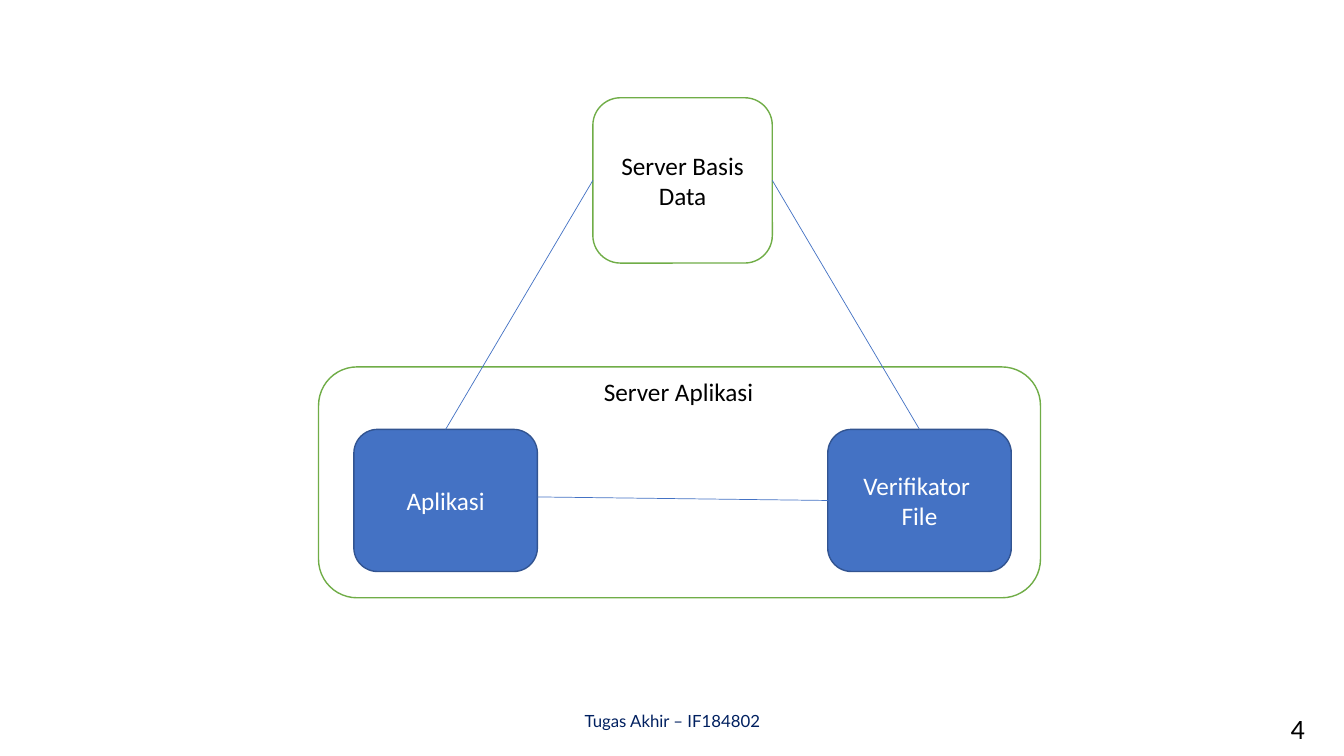
from dataclasses import dataclass

from lxml import etree
from pptx import Presentation
from pptx.dml.color import RGBColor
from pptx.enum.shapes import MSO_CONNECTOR, MSO_SHAPE
from pptx.enum.text import MSO_ANCHOR, PP_ALIGN
from pptx.oxml.ns import qn
from pptx.shapes.autoshape import Shape
from pptx.slide import Slide
from pptx.text.text import TextFrame
from pptx.util import Inches, Pt

ROUND = MSO_SHAPE.ROUNDED_RECTANGLE
STRAIGHT = MSO_CONNECTOR.STRAIGHT
MIDDLE, TOP = MSO_ANCHOR.MIDDLE, MSO_ANCHOR.TOP
LEFT, CENTER, RIGHT = PP_ALIGN.LEFT, PP_ALIGN.CENTER, PP_ALIGN.RIGHT
NORTH, WEST, EAST = 0, 1, 3

WHITE, BLACK, NAVY = "FFFFFF", "000000", "002060"
BLUE, EDGE, GREEN = "4472C4", "325491", "70AD47"


@dataclass
class Node:
    name: str
    box: tuple[float, float, float, float]
    fill: str
    line: str
    ink: str
    lines: tuple[str, ...] = ()


@dataclass
class Label:
    text: str
    box: tuple[float, float, float, float]
    size: int
    font: str = "Calibri"
    ink: str = BLACK
    align: PP_ALIGN = LEFT
    anchor: MSO_ANCHOR = MIDDLE
    wrap: bool = True


@dataclass
class Link:
    start: tuple[float, float]
    end: tuple[float, float]
    tail: tuple[str, int] | None
    head: tuple[str, int]


NODES = [
    Node("server", (3.16, 3.64, 7.16, 2.29), WHITE, GREEN, BLACK),
    Node("app", (3.51, 4.26, 1.82, 1.41), BLUE, EDGE, WHITE, ("Aplikasi",)),
    Node("check", (8.21, 4.26, 1.82, 1.41), BLUE, EDGE, WHITE,
         ("Verifikator ", "File")),
    Node("data", (5.88, 0.97, 1.78, 1.64), WHITE, GREEN, BLACK,
         ("Server Basis Data",)),
]

LABELS = [
    Label("4", (10.04, 7.03, 3, 0.4), 20, align=RIGHT),
    Label("Tugas Akhir – IF184802", (4.42, 6.95, 4.5, 0.4), 12, "Lato", NAVY,
          CENTER),
    Label("Server Aplikasi", (5.89, 3.68, 1.7, 0.4), 18, anchor=TOP,
          wrap=False),
]

LINKS = [
    Link((5.33, 4.93), (8.21, 4.96), None, ("check", WEST)),
    Link((9.12, 4.26), (7.66, 1.79), ("check", NORTH), ("data", EAST)),
    Link((4.42, 4.26), (5.88, 1.79), ("app", NORTH), ("data", WEST)),
]


def color(code: str) -> RGBColor:
    return RGBColor.from_string(code)


def write(frame: TextFrame, lines: tuple[str, ...], size: int, font: str,
          ink: str, align: PP_ALIGN) -> None:
    for i, text in enumerate(lines):
        para = frame.add_paragraph() if i else frame.paragraphs[0]
        para.alignment = align
        run = para.add_run()
        run.text = text
        run.font.size = Pt(size)
        run.font.name = font
        run.font.color.rgb = color(ink)


def add_node(slide: Slide, node: Node) -> Shape:
    shape = slide.shapes.add_shape(ROUND, *map(Inches, node.box))
    shape.shadow.inherit = False
    shape.fill.solid()
    shape.fill.fore_color.rgb = color(node.fill)
    shape.line.color.rgb = color(node.line)
    shape.line.width = Pt(1)
    shape.text_frame.word_wrap = True
    shape.text_frame.vertical_anchor = MIDDLE
    write(shape.text_frame, node.lines, 18, "Calibri", node.ink, CENTER)
    return shape


def add_label(slide: Slide, label: Label) -> None:
    frame = slide.shapes.add_textbox(*map(Inches, label.box)).text_frame
    frame.word_wrap = label.wrap
    frame.vertical_anchor = label.anchor
    write(frame, (label.text,), label.size, label.font, label.ink, label.align)


def add_link(slide: Slide, link: Link, shapes: dict[str, Shape]) -> None:
    wire = slide.shapes.add_connector(
        STRAIGHT, *map(Inches, link.start + link.end))
    if link.tail:
        name, side = link.tail
        wire.begin_connect(shapes[name], side)
    name, side = link.head
    wire.end_connect(shapes[name], side)
    wire.line.color.rgb = color(BLUE)
    wire.line.width = Pt(0.5)
    etree.SubElement(wire._element.spPr, qn("a:effectLst"))


def main() -> None:
    deck = Presentation()
    deck.slide_width, deck.slide_height = Inches(13.33), Inches(7.5)
    slide = deck.slides.add_slide(deck.slide_layouts[6])
    shapes = {node.name: add_node(slide, node) for node in NODES}
    for label in LABELS:
        add_label(slide, label)
    for link in LINKS:
        add_link(slide, link, shapes)
    deck.save("out.pptx")


if __name__ == "__main__":
    main()
